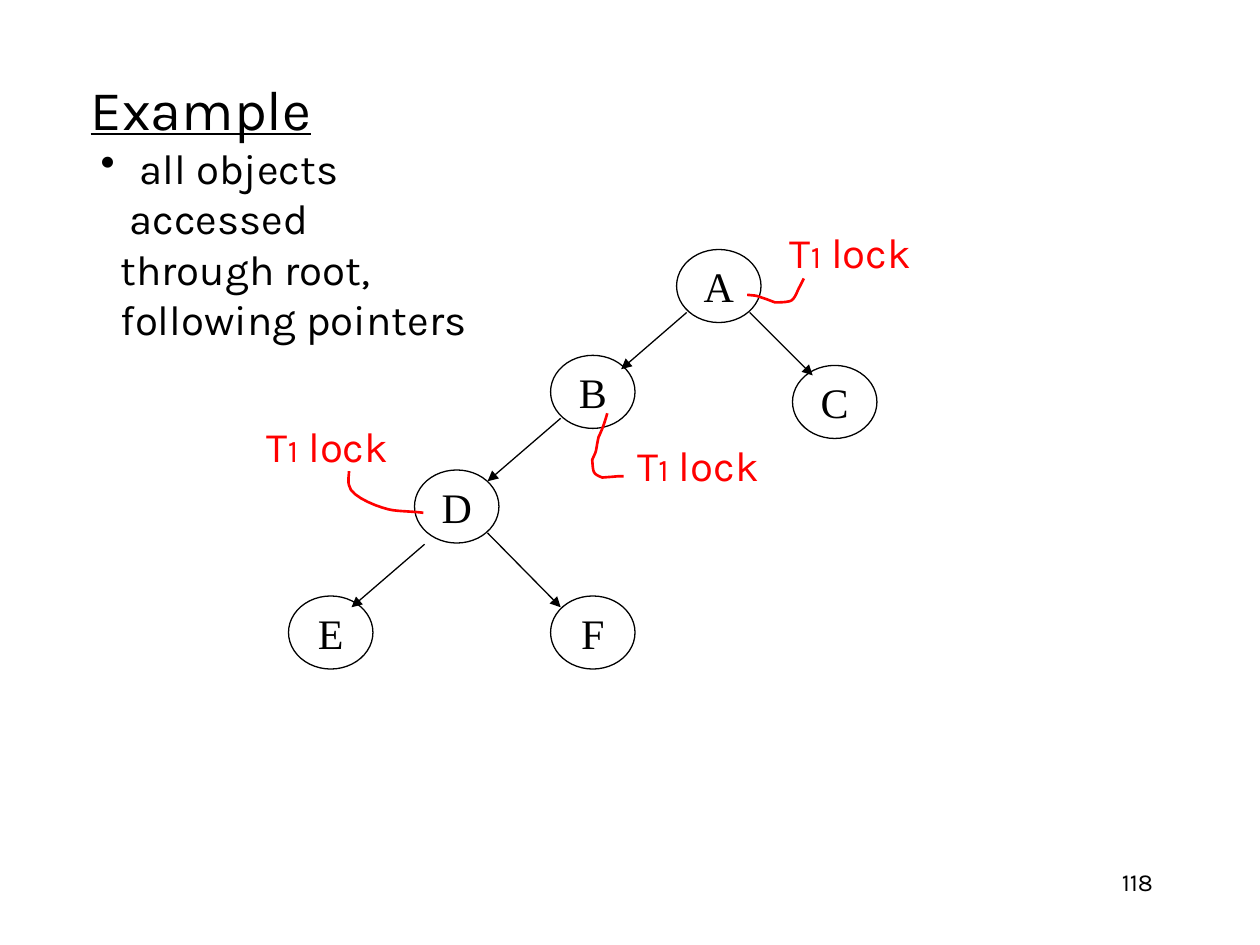
"""Build a slide that shows tree locking on an object graph."""
from lxml import etree
from pptx import Presentation
from pptx.dml.color import RGBColor
from pptx.enum.shapes import MSO_CONNECTOR, MSO_SHAPE
from pptx.enum.text import MSO_ANCHOR, PP_ALIGN
from pptx.oxml.ns import qn
from pptx.util import Inches, Pt

BLACK = RGBColor(0, 0, 0)
WHITE = RGBColor(255, 255, 255)
RED = RGBColor(255, 0, 0)
SANS, SERIF = "Karla", "Times New Roman"
OVAL, LINE = MSO_SHAPE.OVAL, MSO_CONNECTOR.STRAIGHT
LEFT, CENTER, RIGHT = PP_ALIGN.LEFT, PP_ALIGN.CENTER, PP_ALIGN.RIGHT
TOP, MIDDLE = MSO_ANCHOR.TOP, MSO_ANCHOR.MIDDLE

NODES = {"A": (5.37, 1.98), "B": (4.37, 2.82), "C": (6.29, 2.9),
         "D": (3.29, 3.73), "E": (2.29, 4.73), "F": (4.37, 4.73)}
EDGES = [(5.45, 2.48, 4.93, 2.93), (4.45, 3.32, 3.87, 3.82),
         (3.37, 4.32, 2.79, 4.82), (3.87, 4.23, 4.45, 4.82),
         (5.95, 2.48, 6.45, 2.98)]
LOCKS = [(6.14, 1.75), (4.93, 3.44), (1.99, 3.29)]
CURVES = [
    [(5.93, 2.34), (6.02, 2.35), (5.98, 2.34), (6.07, 2.37),
     (6.1, 2.38), (6.15, 2.4), (6.15, 2.4),
     (6.19, 2.4), (6.23, 2.4), (6.27, 2.39),
     (6.31, 2.38), (6.33, 2.3), (6.35, 2.27),
     (6.37, 2.23), (6.36, 2.25), (6.38, 2.21)],
    [(4.82, 3.28), (4.8, 3.35), (4.78, 3.41), (4.75, 3.47),
     (4.72, 3.62), (4.74, 3.56), (4.7, 3.65),
     (4.71, 3.75), (4.7, 3.76), (4.78, 3.79),
     (4.93, 3.78), (4.88, 3.78), (4.95, 3.78)],
    [(3.36, 4.07), (3.28, 4.06), (3.2, 4.06), (3.12, 4.05),
     (3.04, 4.04), (2.78, 3.95), (2.77, 3.85),
     (2.76, 3.81), (2.77, 3.78), (2.77, 3.74)]]


def trace(curve, steps=8):
    """Return points along a chain of cubic curves."""
    points = [curve[0]]
    for first in range(0, len(curve) - 1, 3):
        knots = curve[first:first + 4]
        for step in range(1, steps + 1):
            t = step / steps
            parts = ((1 - t) ** 3, 3 * t * (1 - t) ** 2,
                     3 * t * t * (1 - t), t ** 3)
            points.append(tuple(sum(w * k[axis] for w, k in zip(parts, knots))
                                for axis in (0, 1)))
    return [(Inches(x), Inches(y)) for x, y in points]


class Board:
    """Hold the style and the current slide."""

    def __init__(self, deck):
        self.slide = deck.slides.add_slide(deck.slide_layouts[5])
        self.shapes = self.slide.shapes

    def style(self, para, size, color=BLACK, face=SANS, align=LEFT):
        """Format every run of a paragraph."""
        para.alignment = align
        for run in para.runs:
            run.font.size = Pt(size)
            run.font.name = face
            run.font.color.rgb = color

    def title(self, text, left, top, width, height):
        """Move and fill the title."""
        shape = self.shapes.title
        shape.left, shape.top = Inches(left), Inches(top)
        shape.width, shape.height = Inches(width), Inches(height)
        frame = shape.text_frame
        frame.text = text
        frame.vertical_anchor = TOP
        frame.margin_top = Inches(0.09)
        self.style(frame.paragraphs[0], 32)
        frame.paragraphs[0].runs[0].font.underline = True

    def text(self, text, left, top, width, height, size,
             color=BLACK, align=LEFT, anchor=MIDDLE, wrap=True):
        """Add a text box and return its paragraphs."""
        box = self.shapes.add_textbox(Inches(left), Inches(top),
                                      Inches(width), Inches(height))
        frame = box.text_frame
        frame.text = text
        frame.word_wrap = wrap
        frame.vertical_anchor = anchor
        for para in frame.paragraphs:
            self.style(para, size, color, SANS, align)
        return frame.paragraphs

    def points(self, text, left, top, width, height):
        """Add a bulleted line with indented lines below it."""
        first, *rest = self.text(text, left, top, width, height, 24)
        props = first._p.get_or_add_pPr()
        props.set("marL", str(Inches(0.23)))
        props.set("indent", str(Inches(-0.23)))
        etree.SubElement(props, qn("a:buChar")).set("char", "•")
        for para in rest:
            para._p.get_or_add_pPr().set("marL", str(Inches(0.16)))

    def lock(self, left, top):
        """Add a red lock label."""
        para = self.text("T", left, top, 1.22, 0.5, 24, RED,
                         CENTER, wrap=False)[0]
        for part in ("1", " lock"):
            para.add_run().text = part
        self.style(para, 24, RED, align=CENTER)
        para.runs[1].font.size = Pt(18)

    def node(self, name, left, top):
        """Add a lettered tree node."""
        shape = self.shapes.add_shape(OVAL, Inches(left), Inches(top),
                                      Inches(0.67), Inches(0.58))
        shape.shadow.inherit = False
        shape.fill.solid()
        shape.fill.fore_color.rgb = WHITE
        shape.line.color.rgb = BLACK
        shape.line.width = Pt(0.75)
        frame = shape.text_frame
        frame.text = name
        frame.word_wrap = False
        frame.vertical_anchor = MIDDLE
        self.style(frame.paragraphs[0], 24, BLACK, SERIF, CENTER)

    def arrow(self, *ends):
        """Add an arrow from parent to child."""
        link = self.shapes.add_connector(LINE, *map(Inches, ends))
        link.line.color.rgb = BLACK
        link.line.width = Pt(0.75)
        tail = etree.SubElement(link.line._get_or_add_ln(), qn("a:tailEnd"))
        tail.set("type", "triangle")
        etree.SubElement(link._element.spPr, qn("a:effectLst"))

    def curve(self, knots):
        """Add a red pointer curve."""
        start, *rest = trace(knots)
        build = self.shapes.build_freeform(*start)
        build.add_line_segments(rest, close=False)
        shape = build.convert_to_shape()
        shape.shadow.inherit = False
        shape.fill.background()
        shape.line.color.rgb = RED
        shape.line.width = Pt(1.5)


def main():
    """Build and save the slide."""
    deck = Presentation()
    deck.slide_width, deck.slide_height = Inches(10), Inches(7.5)
    board = Board(deck)
    board.text("118", 7.17, 6.83, 2.08, 0.5, 14, align=RIGHT, anchor=TOP)
    board.title("Example", 0.62, 0.5, 8.5, 0.79)
    for name, spot in NODES.items():
        board.node(name, *spot)
    for edge in EDGES:
        board.arrow(*edge)
    board.points(" all objects accessed\nthrough root,\nfollowing pointers",
                 0.7, 1.28, 3.36, 1.3)
    for spot in LOCKS:
        board.lock(*spot)
    for knots in CURVES:
        board.curve(knots)
    deck.save("out.pptx")


if __name__ == "__main__":
    main()
